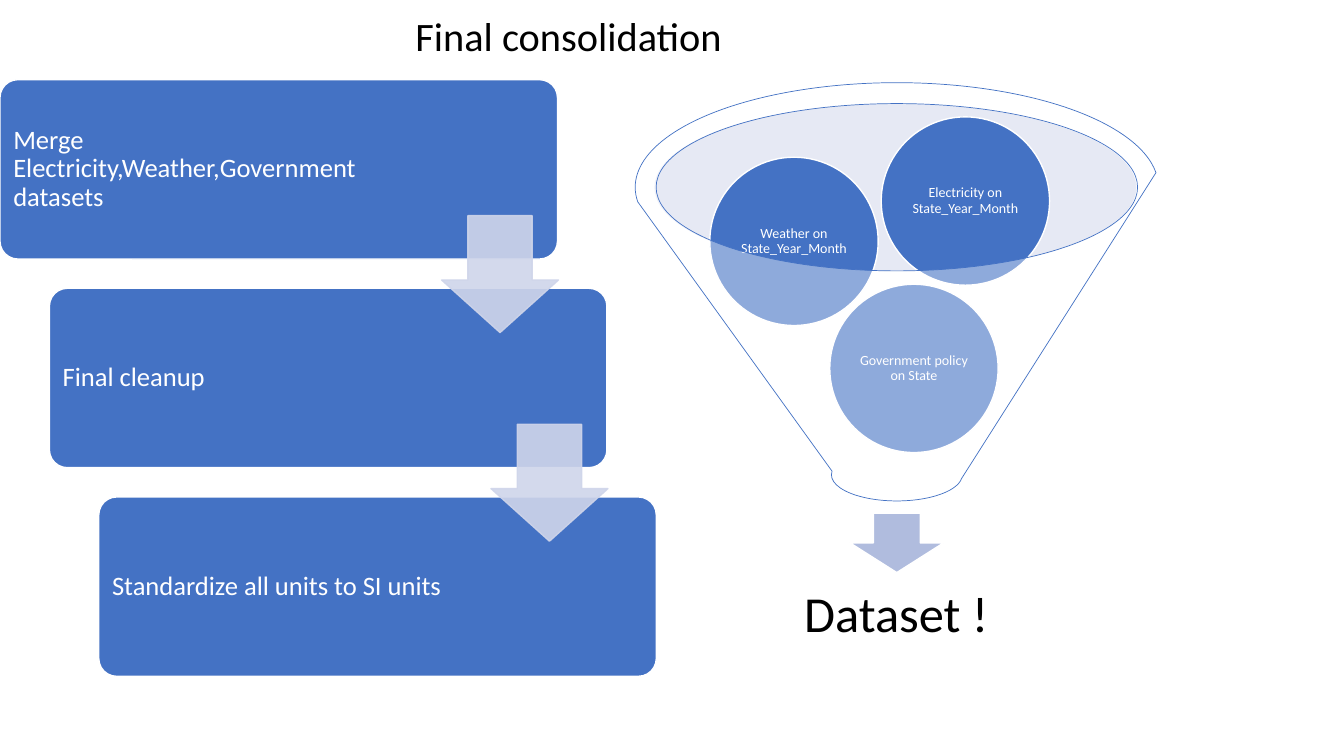
from lxml.etree import SubElement
from pptx import Presentation
from pptx.dml.color import RGBColor
from pptx.enum.shapes import MSO_SHAPE
from pptx.enum.text import MSO_ANCHOR, MSO_AUTO_SIZE, PP_ALIGN
from pptx.oxml.ns import qn
from pptx.util import Pt

PX = 9144
COLORS = {
    "black": "000000",
    "white": "FFFFFF",
    "blue": "4472C4",
    "step_arrow": "CFD5EA",
    "funnel_arrow": "B0BCDE",
    "opening": "C1C9E4",
}
STEPS = [
    "Merge Electricity,Weather,Government datasets",
    "Final cleanup",
    "Standardize all units to SI units",
]
SOURCES = [
    ("Government policy on State", 193, 200),
    ("Weather on State_Year_Month", 74, 74),
    ("Electricity on State_Year_Month", 244, 34),
]


def place(shape, left, top, width, height):
    shape.left, shape.top = left * PX, top * PX
    shape.width, shape.height = width * PX, height * PX


def set_color(fill, color, opacity):
    fill.solid()
    fill.fore_color.rgb = RGBColor.from_string(COLORS[color])
    if opacity < 100:
        element = fill._xPr.find(qn("a:solidFill"))[0]
        SubElement(element, qn("a:alpha")).set("val", str(opacity * 1000))


def add_figure(slide, kind, box, fill, line=None, line_width=1,
               opacity=100, line_opacity=100, adjustments=()):
    shape = slide.shapes.add_shape(kind, *(length * PX for length in box))
    shape.shadow.inherit = False
    for index, value in enumerate(adjustments):
        shape.adjustments[index] = value
    set_color(shape.fill, fill, opacity)
    if line:
        shape.line.width = Pt(line_width)
        set_color(shape.line.fill, line, line_opacity)
    else:
        shape.line.fill.background()
    return shape


def write_text(shape, text, size, color="white", align=PP_ALIGN.CENTER,
               margins=(1, 1, 1, 1)):
    frame = shape.text_frame
    frame.word_wrap = True
    frame.auto_size = MSO_AUTO_SIZE.NONE
    frame.vertical_anchor = MSO_ANCHOR.MIDDLE
    frame.margin_left, frame.margin_top, frame.margin_right, frame.margin_bottom = (
        margin * PX for margin in margins)
    paragraph = frame.paragraphs[0]
    paragraph.alignment = align
    paragraph.line_spacing = 0.9
    run = paragraph.add_run()
    run.text = text
    run.font.name = "Calibri"
    run.font.size = Pt(size)
    run.font.color.rgb = RGBColor.from_string(COLORS[color])


def build_title(slide, left, top, width, height):
    title = slide.shapes.title
    place(title, left, top, width, height)
    write_text(title, "Final consolidation", 28.8, color="black")


def build_funnel(slide, left, top, width, height):
    center = left + width // 2
    add_figure(slide, MSO_SHAPE.OVAL, (left + 19, top + 21, 478, 166),
               "opening", opacity=40)
    add_figure(slide, MSO_SHAPE.DOWN_ARROW, (center - 46, top + 427, 93, 59),
               "funnel_arrow", "white")
    result = slide.shapes.add_textbox(0, 0, 0, 0)
    place(result, center - 222, top + 474, 444, 111)
    write_text(result, "Dataset !", 36, color="black", margins=(28, 28, 28, 28))
    for text, across, down in SOURCES:
        circle = add_figure(slide, MSO_SHAPE.OVAL,
                            (left + across, top + down, 167, 167), "blue", "white")
        write_text(circle, text, 10)
    add_figure(slide, MSO_SHAPE.FUNNEL, (left, top, width, 415),
               "white", "blue", line_width=0.5, opacity=40)


def build_steps(slide, left, top, width, height):
    card_width, card_height = 553, 178
    gaps = len(STEPS) - 1
    across = (width - card_width) // gaps
    down = (height - card_height) // gaps
    for index, text in enumerate(STEPS):
        card = add_figure(
            slide, MSO_SHAPE.ROUNDED_RECTANGLE,
            (left + index * across, top + index * down, card_width, card_height),
            "blue", "white", adjustments=[0.1])
        write_text(card, text, 19, align=PP_ALIGN.LEFT, margins=(8, 8, 190, 8))
    for index in range(gaps):
        add_figure(
            slide, MSO_SHAPE.DOWN_ARROW,
            (left + 438 + index * across, top + 135 + index * down, 116, 116),
            "step_arrow", "step_arrow", opacity=90, line_opacity=90,
            adjustments=[0.55, 0.45])


def main():
    presentation = Presentation()
    presentation.slide_width = 1333 * PX
    presentation.slide_height = 750 * PX
    slide = presentation.slides.add_slide(presentation.slide_layouts[5])
    build_title(slide, 89, 10, 950, 57)
    build_funnel(slide, 630, 82, 519, 585)
    build_steps(slide, 0, 79, 651, 593)
    presentation.save("out.pptx")


if __name__ == "__main__":
    main()
